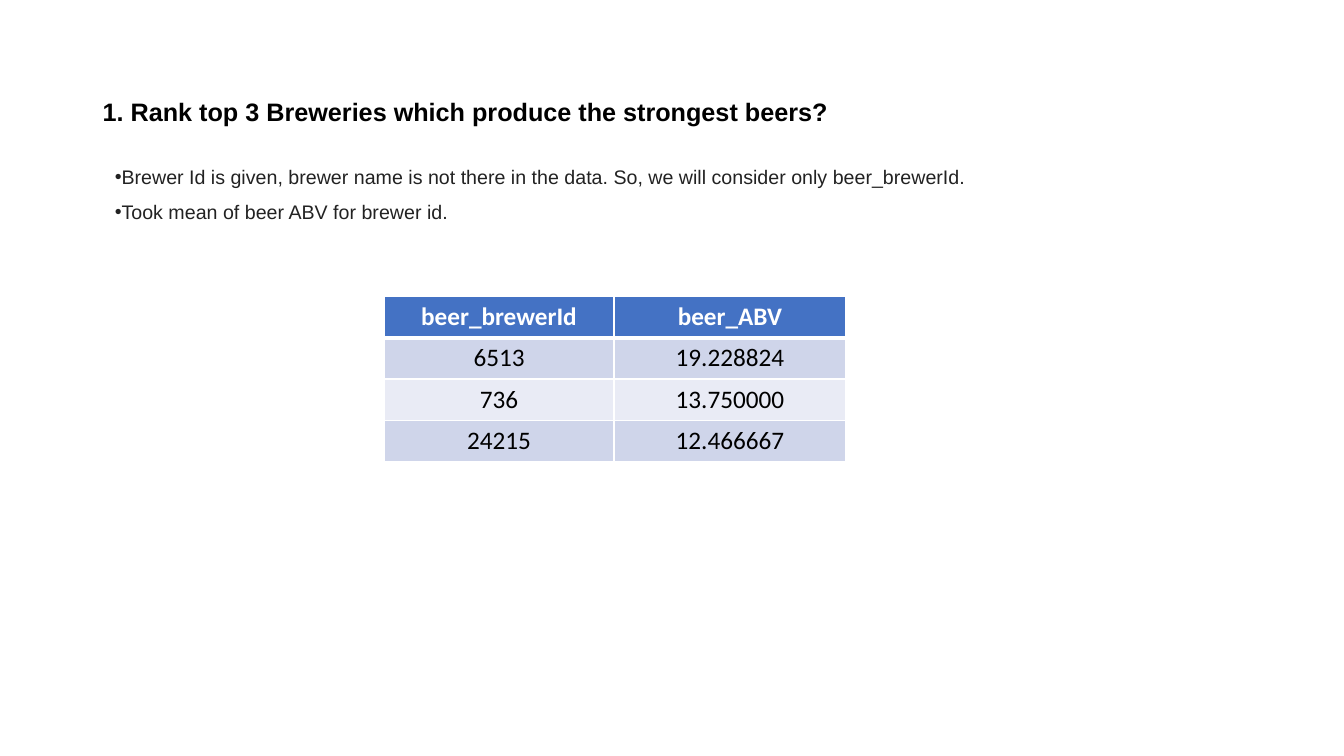
from lxml.etree import SubElement
from pptx import Presentation
from pptx.dml.color import RGBColor
from pptx.enum.text import MSO_ANCHOR, PP_ALIGN
from pptx.oxml.ns import qn
from pptx.util import Inches, Pt

COLORS = {
    "black": "000000",
    "white": "FFFFFF",
    "body": "222222",
    "header": "4472C4",
    "odd_row": "CFD5EA",
    "even_row": "E9EBF5",
}

TITLE = "1. Rank top 3 Breweries which produce the strongest beers?"
NOTES = [
    "Brewer Id is given, brewer name is not there in the data. "
    "So, we will consider only beer_brewerId.",
    "Took mean of beer ABV for brewer id.",
]
BREWERIES = [
    ("beer_brewerId", "beer_ABV"),
    ("6513", "19.228824"),
    ("736", "13.750000"),
    ("24215", "12.466667"),
]


def rgb(name):
    return RGBColor.from_string(COLORS[name])


def write(p, text, font="Arial", size=18, color="black", bold=False,
          align=PP_ALIGN.LEFT, line_spacing=None, before=None):
    p.alignment = align
    if line_spacing is not None:
        p.line_spacing = line_spacing
    if before is not None:
        p.space_before = Pt(before)
    r = p.add_run()
    r.text = text
    r.font.name = font
    r.font.size = Pt(size)
    r.font.bold = bold
    r.font.color.rgb = rgb(color)


def add_bullet(p):
    pPr = p._p.get_or_add_pPr()
    pPr.set("marL", "0")
    pPr.set("indent", "0")
    SubElement(pPr, qn("a:buFont"), typeface="Arial")
    SubElement(pPr, qn("a:buChar"), char="•")


def add_text_box(slide, left, top, width, height, anchor=MSO_ANCHOR.TOP):
    sp = slide.shapes.add_textbox(Inches(left), Inches(top),
                                  Inches(width), Inches(height))
    tf = sp.text_frame
    tf.word_wrap = True
    tf.vertical_anchor = anchor
    return tf


def add_bullets(tf, lines):
    for i, line in enumerate(lines):
        p = tf.add_paragraph() if i else tf.paragraphs[0]
        write(p, line, size=14, color="body", line_spacing=0.9, before=10)
        add_bullet(p)


def set_borders(cell, **widths):
    # Borders must come before the fill inside the cell properties
    tcPr = cell._tc.get_or_add_tcPr()
    for i, (side, width) in enumerate(widths.items()):
        ln = SubElement(tcPr, qn(f"a:{side}"), w=str(Pt(width)))
        fill = SubElement(ln, qn("a:solidFill"))
        SubElement(fill, qn("a:srgbClr"), val=COLORS["white"])
        tcPr.insert(i, ln)


def add_table(slide, rows, left, top, col_widths, row_height):
    frame = slide.shapes.add_table(
        len(rows), len(col_widths), Inches(left), Inches(top),
        Inches(sum(col_widths)), Inches(row_height * len(rows)))
    table = frame.table
    for column, width in zip(table.columns, col_widths):
        column.width = Inches(width)
    for i, values in enumerate(rows):
        table.rows[i].height = Inches(row_height)
        header = i == 0
        fill = "header" if header else "odd_row" if i % 2 else "even_row"
        for j, value in enumerate(values):
            cell = table.cell(i, j)
            cell.vertical_anchor = MSO_ANCHOR.MIDDLE
            cell.fill.solid()
            cell.fill.fore_color.rgb = rgb(fill)
            set_borders(cell, lnL=1, lnR=1, lnT=3 if i == 1 else 1,
                        lnB=3 if header else 1)
            write(cell.text_frame.paragraphs[0], value, font="Calibri",
                  color="white" if header else "black", bold=header,
                  align=PP_ALIGN.CENTER)


def main():
    prs = Presentation()
    prs.slide_width, prs.slide_height = Inches(13.33), Inches(7.5)
    slide = prs.slides.add_slide(prs.slide_layouts[6])

    # Question
    tf = add_text_box(slide, 0.92, 0.4, 11.5, 1.45, anchor=MSO_ANCHOR.MIDDLE)
    write(tf.paragraphs[0], TITLE, bold=True, line_spacing=0.9)

    # Top three breweries
    add_table(slide, BREWERIES, 3.81, 2.94, [2.28, 2.3], 0.41)

    # Approach
    add_bullets(add_text_box(slide, 1.04, 1.61, 9.9, 0.67), NOTES)

    prs.save("out.pptx")


if __name__ == "__main__":
    main()
